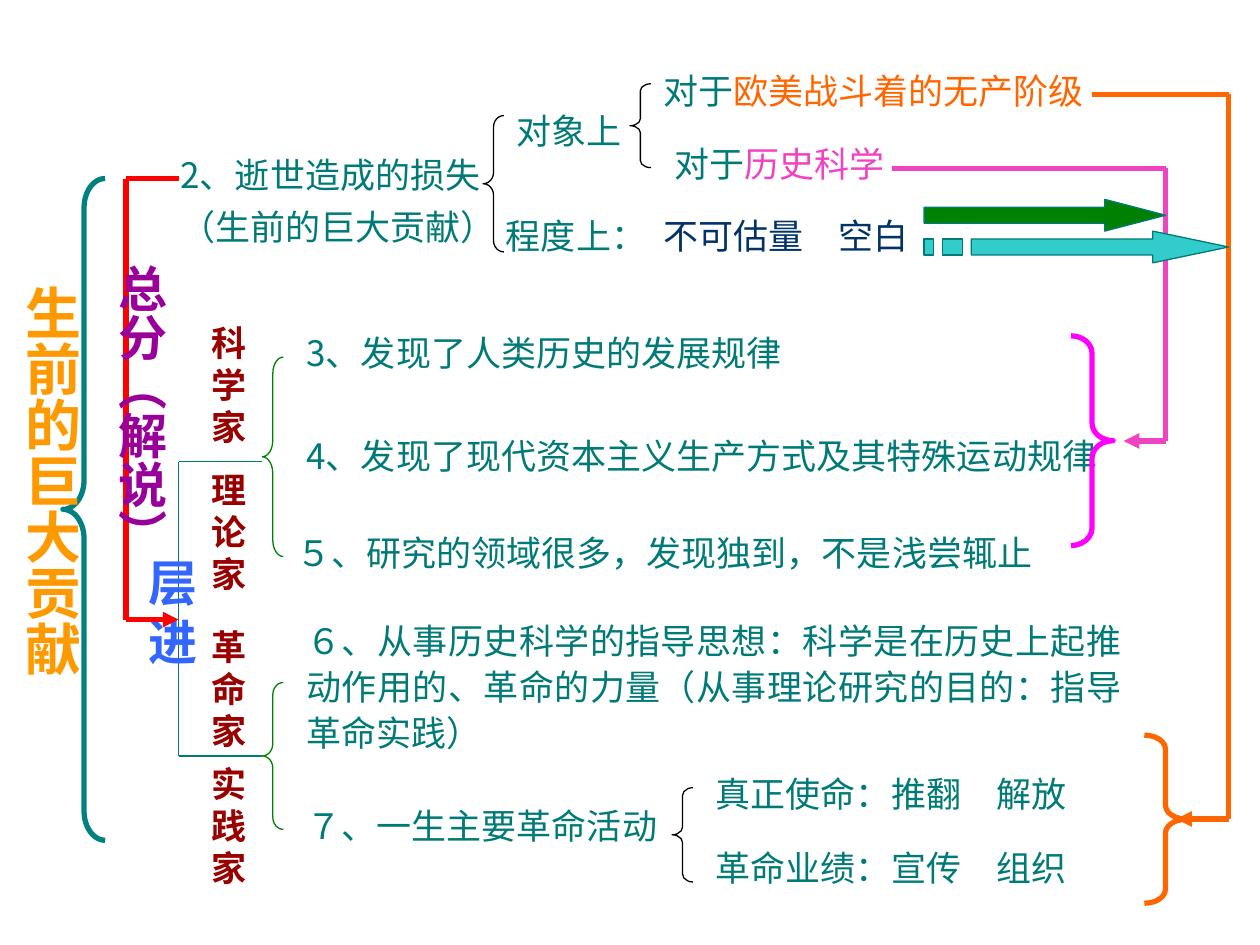
from dataclasses import dataclass

from lxml import etree
from pptx import Presentation
from pptx.dml.color import RGBColor
from pptx.enum.shapes import MSO_CONNECTOR, MSO_SHAPE
from pptx.enum.text import MSO_AUTO_SIZE, PP_ALIGN
from pptx.oxml.ns import qn
from pptx.util import Cm, Pt

STRAIGHT = MSO_CONNECTOR.STRAIGHT
LEFT_BRACE, RIGHT_BRACE = MSO_SHAPE.LEFT_BRACE, MSO_SHAPE.RIGHT_BRACE
RIGHT_ARROW = MSO_SHAPE.RIGHT_ARROW
FIT_TEXT = MSO_AUTO_SIZE.SHAPE_TO_FIT_TEXT
JUSTIFY = PP_ALIGN.JUSTIFY


@dataclass(frozen=True)
class Theme:
    text: str = "007A77"
    navy: str = "003366"
    orange: str = "FF6600"
    pink: str = "EF43C2"
    magenta: str = "FF00FF"
    black: str = "000000"
    green: str = "008000"
    teal: str = "008080"
    aqua: str = "33CCCC"
    red: str = "FF0000"
    maroon: str = "990000"
    blue: str = "3366FF"
    purple: str = "990099"
    gold: str = "FF9900"
    body: int = 20
    heading: int = 28
    title: int = 32
    thin: float = 0.75
    thick: float = 3
    chinese_font: str = "Noto Sans CJK SC"
    latin_font: str = "Arial"


THEME = Theme()


def color(value):
    return RGBColor.from_string(value)


def set_line(line, value, width):
    line.color.rgb = color(value)
    line.width = Pt(width)


def add_text(slide, left, top, width, height, parts, size=THEME.body,
             bold=False, latin_font=THEME.chinese_font):
    """Add a one-paragraph box from (text, colour) parts."""
    box = slide.shapes.add_textbox(Cm(left), Cm(top), Cm(width), Cm(height))
    frame = box.text_frame
    frame.word_wrap = True
    frame.auto_size = FIT_TEXT
    for text, value in parts:
        run = frame.paragraphs[0].add_run()
        run.text = text
        run.font.size = Pt(size)
        run.font.bold = bold
        run.font.color.rgb = color(value)
        run.font.name = latin_font
        east_asian = etree.SubElement(run.font._element, qn("a:ea"))
        east_asian.set("typeface", THEME.chinese_font)
    return frame


def add_vertical_text(slide, left, top, width, height, text, value, size):
    frame = add_text(slide, left, top, width, height, [(text, value)], size,
                     True, THEME.latin_font)
    frame.margin_left = frame.margin_right = Cm(0.13)
    frame.margin_top = frame.margin_bottom = Cm(0.25)
    frame._txBody.bodyPr.set("vert", "eaVert")


def add_brace(slide, kind, left, top, width, height, value,
              line_width=THEME.thin, curve=0.083):
    """Add a brace whose curve is a share of its height."""
    brace = slide.shapes.add_shape(kind, Cm(left), Cm(top), Cm(width), Cm(height))
    brace.adjustments[0] = curve * height / width
    brace.shadow.inherit = False
    brace.fill.background()
    set_line(brace.line, value, line_width)


def add_route(slide, points, value, width=THEME.thick, arrow=True):
    """Join the points with straight lines, with an arrowhead at the last."""
    for (x1, y1), (x2, y2) in zip(points, points[1:]):
        connector = slide.shapes.add_connector(
            STRAIGHT, Cm(x1), Cm(y1), Cm(x2), Cm(y2))
        set_line(connector.line, value, width)
        etree.SubElement(connector._element.spPr, qn("a:effectLst"))
    if arrow:
        tail = etree.SubElement(connector.line._get_or_add_ln(), qn("a:tailEnd"))
        tail.set("type", "triangle")


def paint_arrow(shape, value):
    shape.shadow.inherit = False
    shape.fill.solid()
    shape.fill.fore_color.rgb = color(value)
    set_line(shape.line, THEME.text, THEME.thin)


def add_arrow(slide):
    arrow = slide.shapes.add_shape(RIGHT_ARROW, Cm(18.63), Cm(4.02), Cm(4.87), Cm(0.64))
    arrow.adjustments[0] = 0.5
    arrow.adjustments[1] = 1.92
    paint_arrow(arrow, THEME.green)


def add_striped_arrow(slide):
    top, upper, middle, lower, bottom = 4.66, 4.82, 4.98, 5.14, 5.3
    head = 23.24
    outlines = [[(head, top), (head, upper), (19.58, upper), (19.58, lower),
                 (head, lower), (head, bottom), (24.77, middle)]]
    for left, right in ((19, 19.41), (18.63, 18.82)):
        outlines.append([(left, upper), (left, lower), (right, lower), (right, upper)])
    builder = None
    for outline in outlines:
        start, *others = [(Cm(x), Cm(y)) for x, y in outline]
        if builder is None:
            builder = slide.shapes.build_freeform(*start)
        else:
            builder.move_to(*start)
        builder.add_line_segments(others, close=True)
    paint_arrow(builder.convert_to_shape(), THEME.aqua)


def add_labels(slide):
    labels = [
        (3.39, 2.96, 7.2, "2、逝世造成的损失"),
        (3.39, 4.02, 8.26, "（生前的巨大贡献）"),
        (10.16, 2.08, 3.18, "对象上"),
        (9.95, 4.19, 7.41, "程度上："),
        (5.93, 6.56, 13.55, "3、发现了人类历史的发展规律"),
        (5.93, 8.64, 16.72, "4、发现了现代资本主义生产方式及其特殊运动规律"),
        (5.72, 10.58, 15.88, "５、研究的领域很多，发现独到，不是浅尝辄止"),
        (5.93, 16.09, 8.47, "７、一生主要革命活动"),
        (14.18, 15.45, 9.95, "真正使命：推翻　解放"),
        (14.18, 16.93, 9.31, "革命业绩：宣传　组织"),
    ]
    for left, top, width, text in labels:
        add_text(slide, left, top, width, 1.11, [(text, THEME.text)])
    add_text(slide, 13.12, 1.27, 9.31, 1.11,
             [("对于", THEME.text), ("欧美战斗着的无产阶级", THEME.orange)])
    add_text(slide, 13.34, 2.75, 5.72, 1.11,
             [("对于", THEME.text), ("历史科学", THEME.pink)])
    add_text(slide, 13.12, 4.19, 6.77, 1.11, [("不可估量　空白", THEME.navy)])
    purpose = add_text(slide, 5.93, 12.28, 16.93, 3.05, [(
        "６、从事历史科学的指导思想：科学是在历史上起推动作用的、革命的力量"
        "（从事理论研究的目的：指导革命实践）", THEME.text)])
    purpose.paragraphs[0].alignment = JUSTIFY
    purpose.paragraphs[0].line_spacing = 1.1


def add_roles(slide):
    roles = ((6.35, "科学家"), (9.31, "理论家"), (12.49, "革命家"), (15.24, "实践家"))
    for top, text in roles:
        add_text(slide, 4.02, top, 1.27, 2.79, [(text, THEME.maroon)],
                 bold=True, latin_font=THEME.latin_font)
    add_text(slide, 2.75, 11.01, 1.27, 2.64, [("层进", THEME.blue)],
             THEME.heading, True, THEME.latin_font)


def add_braces(slide):
    for left, top, height, value in (
            (9.74, 2.33, 2.75, THEME.black), (12.7, 1.69, 1.69, THEME.black),
            (5.29, 7.2, 4.02, THEME.green), (5.29, 13.76, 2.96, THEME.green),
            (13.55, 15.88, 1.9, THEME.black)):
        add_brace(slide, LEFT_BRACE, left, top, 0.42, height, value)
    add_brace(slide, RIGHT_BRACE, 21.59, 6.77, 0.85, 4.23, THEME.magenta, THEME.thick)
    add_brace(slide, RIGHT_BRACE, 23.07, 14.82, 0.85, 3.39, THEME.orange, THEME.thick)
    add_brace(slide, LEFT_BRACE, 1.27, 3.6, 0.85, 13.34, THEME.teal, THEME.thick, 0.044)


def main():
    presentation = Presentation()
    presentation.slide_width, presentation.slide_height = Cm(25.4), Cm(19.05)
    slide = presentation.slides.add_slide(presentation.slide_layouts[6])

    add_route(slide, [(5.29, 9.31), (3.6, 9.31), (3.6, 15.24), (5.29, 15.24)],
              THEME.text, THEME.thin, arrow=False)
    add_labels(slide)
    add_roles(slide)
    add_braces(slide)
    add_route(slide, [(17.99, 3.39), (23.5, 3.39), (23.5, 8.89), (22.65, 8.89)], THEME.pink)
    add_route(slide, [(22.01, 1.9), (24.77, 1.9), (24.77, 16.51), (23.71, 16.51)], THEME.orange)
    add_arrow(slide)
    add_striped_arrow(slide)
    add_route(slide, [(3.6, 3.6), (2.54, 3.6), (2.54, 12.49), (3.6, 12.49)], THEME.red)
    add_vertical_text(slide, 1.9, 5.08, 1.68, 6.56, "总分（解说）", THEME.purple, THEME.heading)
    add_vertical_text(slide, 0, 5.5, 1.85, 9.95, "生前的巨大贡献", THEME.gold, THEME.title)
    presentation.save("out.pptx")


if __name__ == "__main__":
    main()
